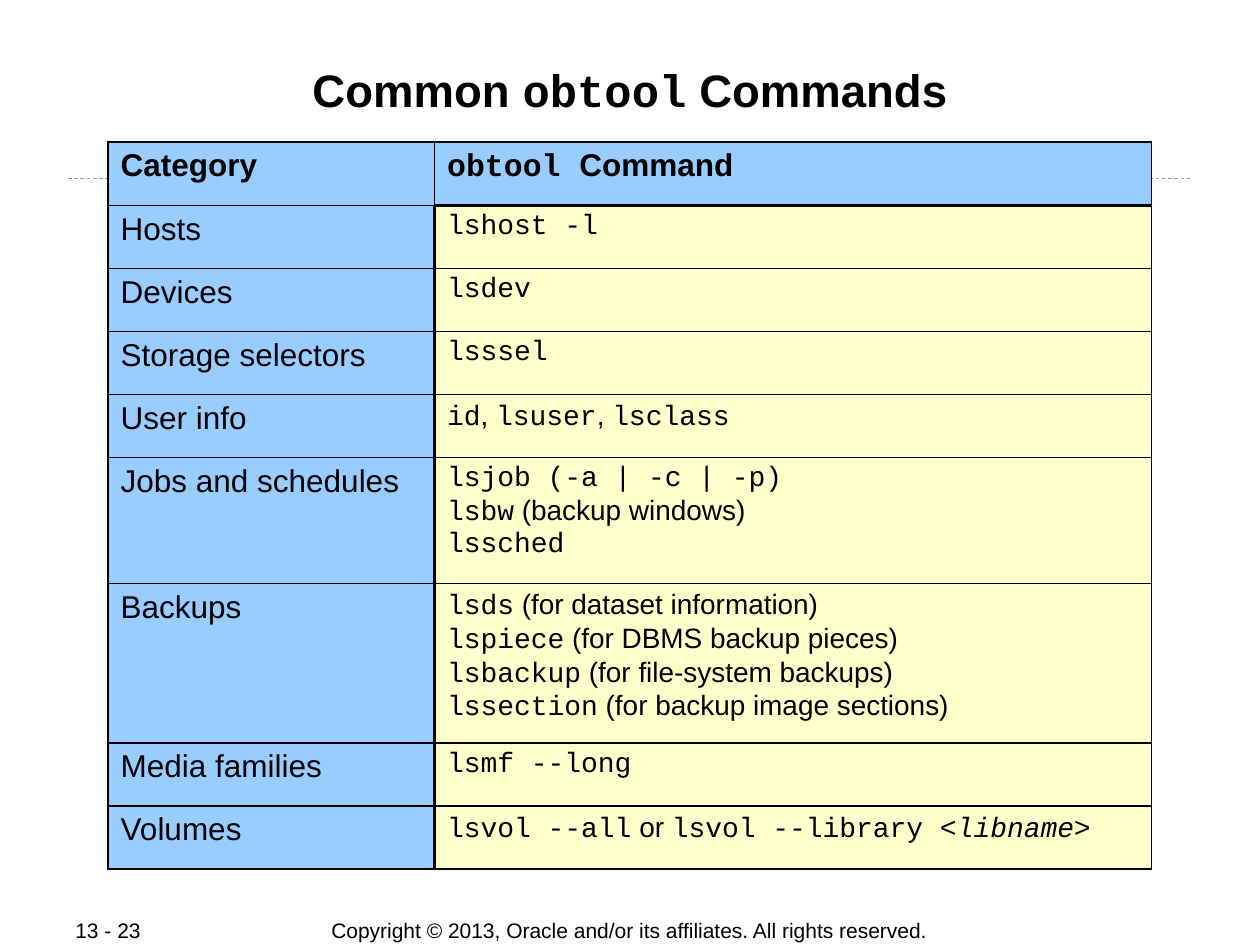
import pptx
import pptx.util
import pptx.dml.color
import pptx.enum.dml
import pptx.enum.shapes
import pptx.enum.text
import pptx.oxml.ns
import lxml.etree

Cm = pptx.util.Cm
Pt = pptx.util.Pt
align = pptx.enum.text.PP_ALIGN
anchor = pptx.enum.text.MSO_ANCHOR
qn = pptx.oxml.ns.qn


def colour(hex_string):
    return pptx.dml.color.RGBColor.from_string(hex_string)


def write(paragraph, marked_text, size, bold=False):
    for position, piece in enumerate(marked_text.split("`")):
        if not piece:
            continue
        run = paragraph.add_run()
        run.text = piece
        run.font.name = "Courier New" if position % 2 else "Arial"
        run.font.size = Pt(size)
        run.font.bold = bold
        run.font.italic = piece == "libname"
        run.font.color.rgb = colour("000000")


commands = [
    ("Category", ["`obtool `Command"], 1.28),
    ("Hosts", ["`lshost -l`"], 1.27),
    ("Devices", ["`lsdev`"], 1.27),
    ("Storage selectors", ["`lsssel`"], 1.27),
    ("User info", ["`id`, `lsuser`, `lsclass`"], 1.27),
    ("Jobs and schedules",
     ["`lsjob (-a | -c | -p)`", "`lsbw` (backup windows)", "`lssched`"], 2.54),
    ("Backups",
     ["`lsds` (for dataset information)", "`lspiece` (for DBMS backup pieces)",
      "`lsbackup` (for file-system backups)",
      "`lssection` (for backup image sections)"], 3.22),
    ("Media families", ["`lsmf --long`"], 1.27),
    ("Volumes", ["`lsvol --all` or `lsvol --library <``libname`>"], 1.27),
]

deck = pptx.Presentation()
deck.slide_width = Cm(25.4)
deck.slide_height = Cm(19.05)
slide = deck.slides.add_slide(deck.slide_layouts[5])

title = slide.shapes.title
title.left, title.top, title.width, title.height = Cm(1.7), Cm(1.22), Cm(22), Cm(2.44)
heading = title.text_frame
heading.auto_size = pptx.enum.text.MSO_AUTO_SIZE.NONE
heading.vertical_anchor = anchor.TOP
heading.margin_left = heading.margin_right = Cm(0.03)
heading.margin_top = heading.margin_bottom = Cm(0.03)
heading.paragraphs[0].alignment = align.CENTER
write(heading.paragraphs[0], "Common `obtool` Commands", 26, True)

divider = slide.shapes.add_connector(
    pptx.enum.shapes.MSO_CONNECTOR.STRAIGHT, Cm(1.37), Cm(3.6), Cm(24.03), Cm(3.6))
divider.line.color.rgb = colour("999999")
divider.line.width = Pt(0.5)
divider.line.dash_style = pptx.enum.dml.MSO_LINE.DASH
lxml.etree.SubElement(divider._element.spPr, qn("a:effectLst"))

footers = [
    ("Copyright © 2013, Oracle and/or its affiliates. All rights reserved.",
     5.69, 14, align.CENTER),
    ("13 - 23", 1.27, 2.69, align.LEFT),
]
for footer_text, left, width, alignment in footers:
    footer = slide.shapes.add_textbox(Cm(left), Cm(18.49), Cm(width), Cm(0.52)).text_frame
    footer.word_wrap = False
    footer.vertical_anchor = anchor.MIDDLE
    footer.paragraphs[0].alignment = alignment
    write(footer.paragraphs[0], footer_text, 12)

table = slide.shapes.add_table(
    len(commands), 2, Cm(2.18), Cm(2.86), Cm(21.03),
    Cm(sum(height for _, _, height in commands))).table
table.first_row = table.horz_banding = False
table.columns[0].width = Cm(6.58)
table.columns[1].width = Cm(14.45)

for row, (category, lines, height) in enumerate(commands):
    table.rows[row].height = Cm(height)
    header = row == 0
    for column, cell_lines in enumerate([[category], lines]):
        cell = table.cell(row, column)
        command_cell = column == 1 and not header
        for number, line in enumerate(cell_lines):
            frame = cell.text_frame
            paragraph = frame.add_paragraph() if number else frame.paragraphs[0]
            write(paragraph, line, 16 if command_cell else 18, header)

        thick_edges = []
        if not header:
            thick_edges.append("lnL" if column else "lnR")
        if column and row < 2:
            thick_edges.append("lnB" if header else "lnT")
        properties = cell._tc.get_or_add_tcPr()
        for edge in ("lnL", "lnR", "lnT", "lnB"):
            border = lxml.etree.SubElement(properties, qn("a:" + edge))
            border.set("w", str(Pt(2.21 if edge in thick_edges else 1.08)))
            fill = lxml.etree.SubElement(border, qn("a:solidFill"))
            lxml.etree.SubElement(fill, qn("a:srgbClr")).set("val", "000000")
        cell.fill.solid()
        cell.fill.fore_color.rgb = colour("FFFFCC" if command_cell else "99CCFF")

deck.save("out.pptx")
